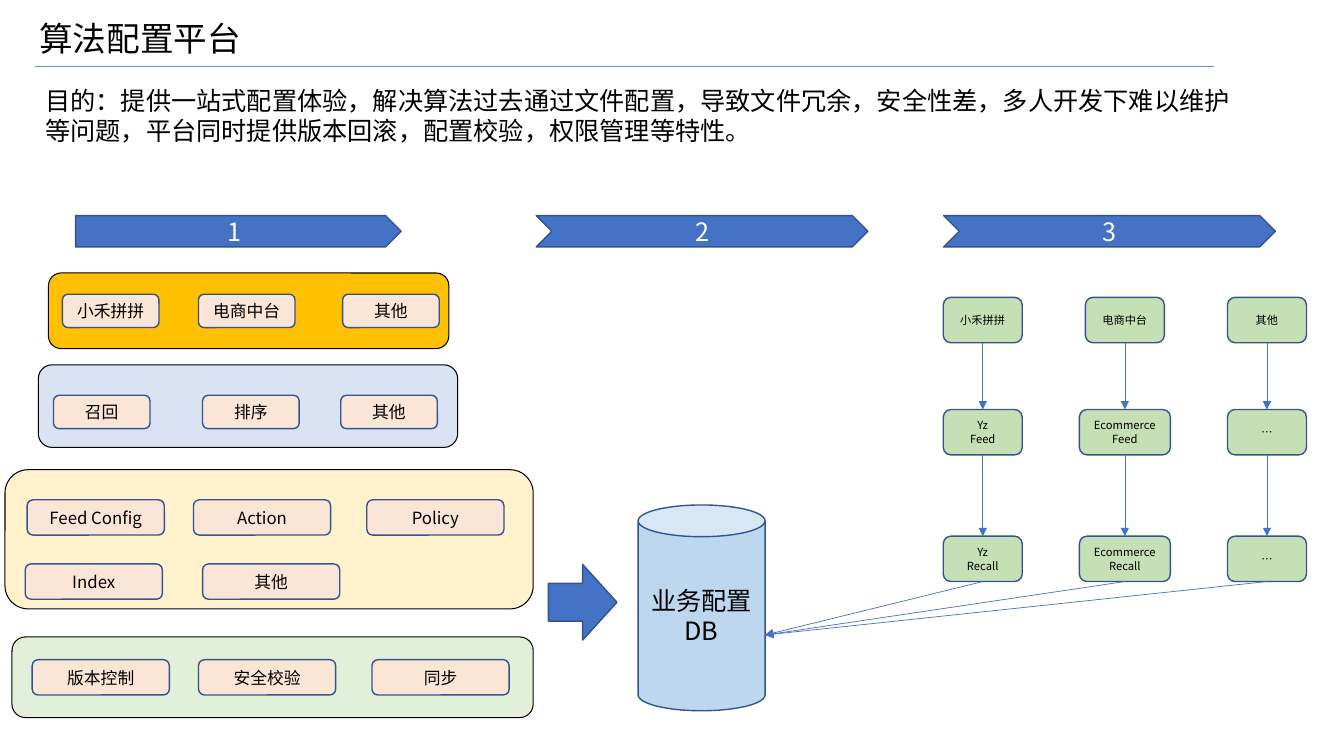
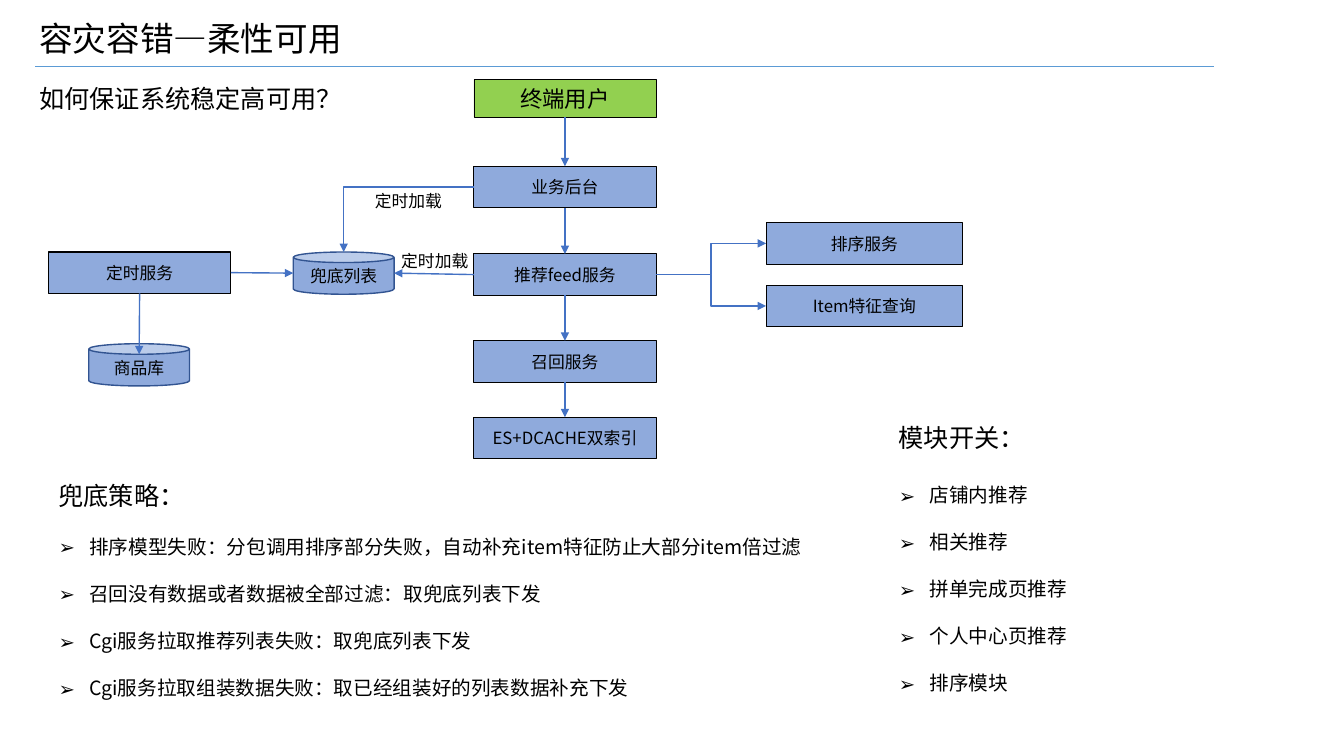
from lxml import etree
from pptx import Presentation
from pptx.dml.color import RGBColor
from pptx.enum.shapes import MSO_CONNECTOR, MSO_SHAPE
from pptx.enum.text import MSO_ANCHOR, MSO_AUTO_SIZE, PP_ALIGN
from pptx.oxml.ns import qn
from pptx.util import Pt

RECT, ROUND, CAN = MSO_SHAPE.RECTANGLE, MSO_SHAPE.ROUNDED_RECTANGLE, MSO_SHAPE.CAN
PENTAGON, CHEVRON, ARROW = MSO_SHAPE.PENTAGON, MSO_SHAPE.CHEVRON, MSO_SHAPE.RIGHT_ARROW
STRAIGHT, ELBOW = MSO_CONNECTOR.STRAIGHT, MSO_CONNECTOR.ELBOW
LEFT, CENTER = PP_ALIGN.LEFT, PP_ALIGN.CENTER
TOP, MIDDLE = MSO_ANCHOR.TOP, MSO_ANCHOR.MIDDLE

FONT = "Noto Sans CJK SC"
BLACK, WHITE = "000000", "FFFFFF"
BLUE, EDGE, RULE = "4472C4", "325491", "5B9BD5"
NODE, CHIP, STEP = "8FAADC", "FBE5D6", "C5E0B4"
LINE_PITCH = 1.2

# Connection sites by side, and where each side lies in its shape
BOX_SITES = {"top": 0, "left": 1, "bottom": 2, "right": 3}
CAN_SITES = {"lip": 0, "top": 1, "left": 2, "bottom": 3, "right": 4}
SIDES = {"top": (0.5, 0), "left": (0, 0.5), "bottom": (0.5, 1),
         "right": (1, 0.5), "lip": (0.5, 0.25)}


def color(hex_code):
    return RGBColor.from_string(hex_code)


def write(paragraph, text, size=12, ink=BLACK, align=LEFT, tight=False,
          before=0, bullet=None):
    """Put formatted text into a paragraph."""
    props = paragraph._p.get_or_add_pPr()
    indent = Pt(22) if bullet else 0
    props.set("marL", str(indent))
    props.set("indent", str(-indent))
    if bullet:
        etree.SubElement(props, qn("a:buFont"), typeface=FONT)
        etree.SubElement(props, qn("a:buChar"), char=bullet)
    else:
        etree.SubElement(props, qn("a:buNone"))
    paragraph.alignment = align
    paragraph.space_before = Pt(before)
    if tight:
        paragraph.line_spacing = Pt(size * LINE_PITCH)
    run = paragraph.add_run()
    run.text = text
    run.font.size = Pt(size)
    run.font.name = FONT
    run.font.color.rgb = color(ink)
    etree.SubElement(run._r.get_or_add_rPr(), qn("a:ea"), typeface=FONT)


class Deck:
    def __init__(self):
        self.file = Presentation()
        self.file.slide_width, self.file.slide_height = Pt(960), Pt(540)
        self.slide = None

    def new_slide(self, layout, title):
        self.slide = self.file.slides.add_slide(self.file.slide_layouts[layout])
        frame = self.place(0, 28, 7, 840, 40, anchor=MIDDLE)
        write(frame.paragraphs[0], title, size=24)
        self.link((25.2, 47.5), (866.9, 47.5), ink=RULE, head=False)

    def frame(self, shape, anchor):
        frame = shape.text_frame
        frame.word_wrap = True
        frame.auto_size = MSO_AUTO_SIZE.NONE
        frame.vertical_anchor = anchor
        frame.margin_left = frame.margin_right = 0
        frame.margin_top = frame.margin_bottom = 0
        return frame

    def place(self, index, x, y, w, h, anchor=TOP):
        """Move a placeholder and return its empty frame."""
        holder = self.slide.placeholders[index]
        holder.left, holder.top, holder.width, holder.height = map(Pt, (x, y, w, h))
        return self.frame(holder, anchor)

    def label(self, text, x, y, w, h, **fmt):
        box = self.slide.shapes.add_textbox(*map(Pt, (x, y, w, h)))
        write(self.frame(box, MIDDLE).paragraphs[0], text, **fmt)

    def bullets(self, index, x, y, w, h, heading, items, first_gap):
        frame = self.place(index, x, y, w, h)
        write(frame.paragraphs[0], heading, size=18, tight=True)
        for number, item in enumerate(items):
            write(frame.add_paragraph(), item, size=14, tight=True, bullet="➢",
                  before=16.8 if number else first_gap)

    def shape(self, kind, x, y, w, h, fill, text="", edge=EDGE, weight=1,
              tight=False, **fmt):
        shape = self.slide.shapes.add_shape(kind, *map(Pt, (x, y, w, h)))
        shape.shadow.inherit = False
        shape.fill.solid()
        shape.fill.fore_color.rgb = color(fill)
        shape.line.color.rgb = color(edge)
        shape.line.width = Pt(weight)
        if text:
            frame = self.frame(shape, MIDDLE)
            lines = text.split("\n")
            for number, line in enumerate(lines):
                paragraph = frame.add_paragraph() if number else frame.paragraphs[0]
                write(paragraph, line, align=CENTER,
                      tight=tight or len(lines) > 1, **fmt)
        return shape

    def link(self, start, end, kind=STRAIGHT, ink=BLUE, weight=1, head=True,
             corner=False):
        """Join two ends, each an (x, y) point or a (shape, side) pair."""
        points, glue = [], []
        for tag, (target, side) in (("a:stCxn", start), ("a:endCxn", end)):
            if isinstance(side, str):
                across, down = SIDES[side]
                points += [int(target.left + across * target.width),
                           int(target.top + down * target.height)]
                sites = CAN_SITES if target.auto_shape_type == CAN else BOX_SITES
                glue.append((tag, target.shape_id, sites[side]))
            else:
                points += [Pt(target), Pt(side)]
        line = self.slide.shapes.add_connector(kind, *points)
        line.line.color.rgb = color(ink)
        line.line.width = Pt(weight)
        element = line._element
        for tag, shape_id, site in glue:
            etree.SubElement(element.nvCxnSpPr.cNvCxnSpPr, qn(tag),
                             id=str(shape_id), idx=str(site))
        if corner:
            element.spPr.find(qn("a:prstGeom")).set("prst", "bentConnector2")
        if head:
            etree.SubElement(line.line._get_or_add_ln(), qn("a:tailEnd"),
                             type="triangle")
        etree.SubElement(element.spPr, qn("a:effectLst"))


def build_platform(deck):
    deck.new_slide(1, "算法配置平台")
    purpose = deck.place(1, 32.4, 61, 851, 76)
    write(purpose.paragraphs[0],
          "目的：提供一站式配置体验，解决算法过去通过文件配置，导致文件冗余，"
          "安全性差，多人开发下难以维护等问题，平台同时提供版本回滚，配置校验，"
          "权限管理等特性。", size=18, tight=True)

    # Stage banners
    for number, kind, x, w in (("1", PENTAGON, 54, 232.6),
                               ("2", CHEVRON, 383, 237),
                               ("3", CHEVRON, 674, 237)):
        deck.shape(kind, x, 154, w, 22.4, BLUE, number, size=18, ink=WHITE)

    # Layered panels: frame, fill, chip size, then rows of chips
    small, wide = (69, 23.8), (98, 25.2)
    panels = (
        ((34.6, 195, 286, 54), "FFC000", small,
         [(210.2, [("小禾拼拼", 44.6), ("电商中台", 141.8), ("其他", 244.8)])]),
        ((27.4, 260.6, 299.5, 59), "DAE3F3", small,
         [(282.4, [("召回", 38.2), ("排序", 144.7), ("其他", 243.4)])]),
        ((3.6, 335.5, 377.3, 99.4), "FFF2CC", wide,
         [(357, [("Feed Config", 19.4), ("Action", 138.2), ("Policy", 262)]),
          (402.8, [("Index", 18), ("其他", 144.7)])]),
        ((8.6, 455, 372.3, 57.6), "E2F0D9", wide,
         [(471.2, [("版本控制", 23), ("安全校验", 141.8), ("同步", 265.7)])]),
    )
    for box, fill, chip_size, rows in panels:
        deck.shape(ROUND, *box, fill, edge=BLACK, weight=0.75)
        for y, chips in rows:
            for name, x in chips:
                deck.shape(ROUND, x, y, *chip_size, CHIP, name)

    # Configuration store
    deck.shape(ARROW, 391.7, 403.2, 49, 54, BLUE)
    deck.shape(CAN, 455.8, 360.7, 90.7, 147, "BDD7EE", "业务配置DB",
               size=18, tight=True)

    # Business chains, each ending in the store
    chains = (("小禾拼拼", "Yz\nFeed", "Yz\nRecall"),
              ("电商中台", "Ecommerce\nFeed", "Ecommerce\nRecall"),
              ("其他", "…", "…"))
    for column, chain in enumerate(chains):
        middle = 702 + 101.5 * column
        above = None
        for text, y in zip(chain, (212.4, 292.5, 383)):
            w = 65 if text.startswith("Ecommerce") else 56.4
            step = deck.shape(ROUND, middle - w / 2, y, w, 32.4, STEP, text, size=8)
            if above is not None:
                deck.link((above, "bottom"), (step, "top"), weight=0.5)
            above = step
        deck.link((above, "bottom"), (546.5, 453.6), weight=0.5)


def build_resilience(deck):
    deck.new_slide(3, "容灾容错—柔性可用")
    deck.label("如何保证系统稳定高可用？", 28, 56, 240, 29, size=18)

    # Main request path
    def service(text, x, y, w=130.3):
        return deck.shape(RECT, x, y, w, 29.5, NODE, text, edge=BLACK, weight=0.75)

    user = deck.shape(RECT, 338.4, 56.9, 130.3, 26.6, "92D050", "终端用户",
                      edge=BLACK, weight=0.25, size=16)
    backend, feed, recall, index = [
        service(text, 338.4, y) for text, y in (
            ("业务后台", 118.8), ("推荐feed服务", 181.4),
            ("召回服务", 243.4), ("ES+DCACHE双索引", 298.1))]
    path_nodes = (user, backend, feed, recall, index)
    for upper, lower in zip(path_nodes, path_nodes[1:]):
        deck.link((upper, "bottom"), (lower, "top"))

    # Services called by the feed
    for text, y in (("排序服务", 159.1), ("Item特征查询", 203.8)):
        helper = service(text, 547.2, y, 140.4)
        deck.link((feed, "right"), (helper, "left"), kind=ELBOW)

    # Fallback list and its loaders
    timer = service("定时服务", 34.6, 180)
    goods = deck.shape(CAN, 63.4, 245.5, 72, 30.2, NODE, "商品库")
    fallback = deck.shape(CAN, 209.5, 180, 72, 30.2, NODE, "兜底列表")
    deck.link((timer, "bottom"), (goods, "lip"))
    deck.link((timer, "right"), (fallback, "left"))
    deck.link((feed, "left"), (fallback, "right"))
    deck.link((backend, "left"), (fallback, "top"), kind=ELBOW, corner=True)
    for x, y in ((267.8, 133), (286.6, 175.6)):
        deck.label("定时加载", x, y, 52, 21.6)

    # Strategy and switch lists
    deck.bullets(1, 41.8, 343.4, 535.6, 180, "兜底策略：", (
        "排序模型失败：分包调用排序部分失败，自动补充item特征防止大部分item倍过滤",
        "召回没有数据或者数据被全部过滤：取兜底列表下发",
        "Cgi服务拉取推荐列表失败：取兜底列表下发",
        "Cgi服务拉取组装数据失败：取已经组装好的列表数据补充下发"), first_gap=16.8)
    deck.bullets(2, 642, 301.6, 160, 204, "模块开关：", (
        "店铺内推荐", "相关推荐", "拼单完成页推荐", "个人中心页推荐", "排序模块"),
        first_gap=21.6)


def main():
    deck = Deck()
    build_platform(deck)
    build_resilience(deck)
    deck.file.save("out.pptx")


if __name__ == "__main__":
    main()
